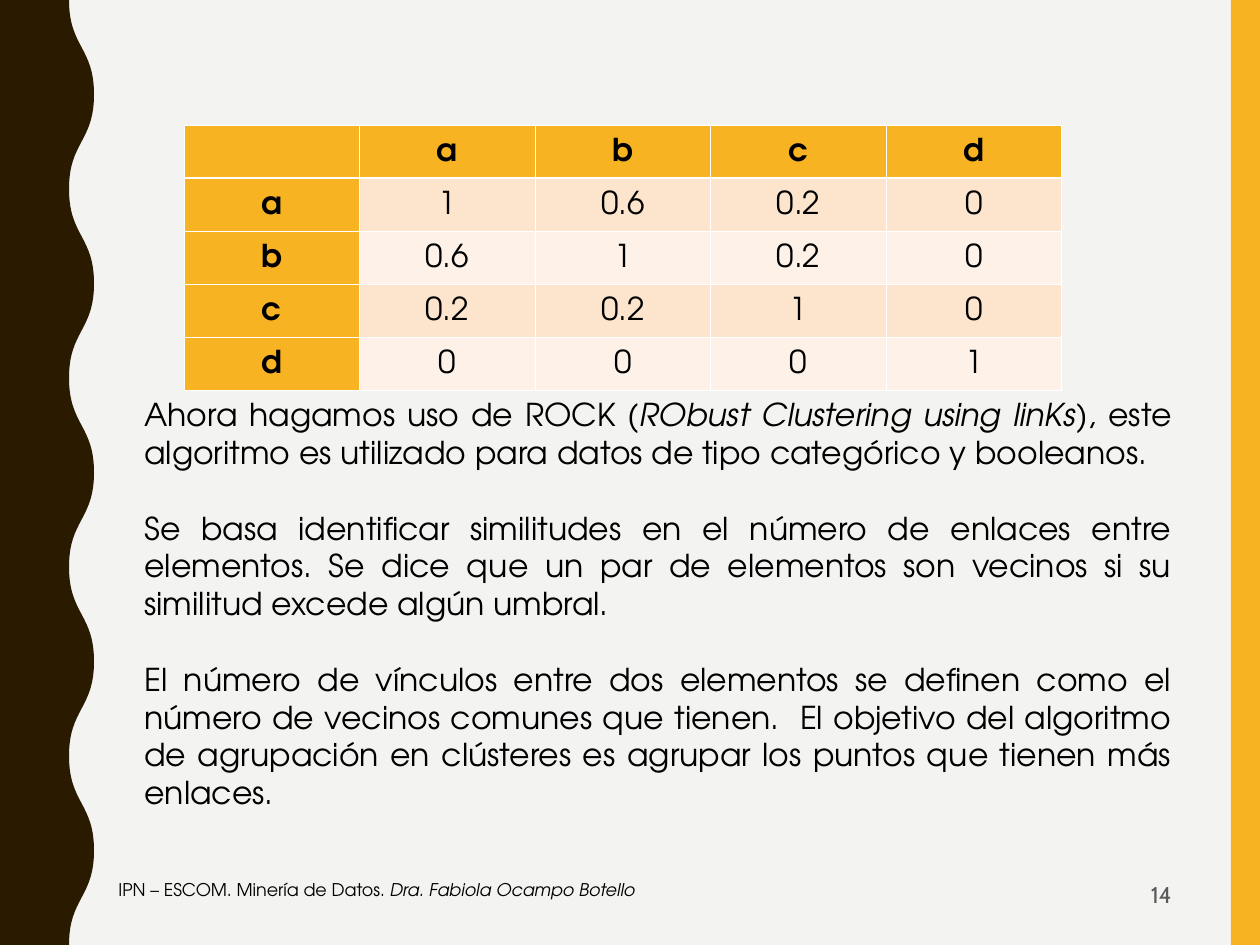
import pptx
import pptx.dml.color
import pptx.enum.shapes
import pptx.enum.text
import pptx.oxml
import pptx.oxml.ns
import pptx.util

ALIGN = pptx.enum.text.PP_ALIGN
ANCHOR = pptx.enum.text.MSO_ANCHOR

# Content: each paragraph is a list of (text, italic) runs
LABELS = ["a", "b", "c", "d"]
SIMILARITY = [
    ["1", "0.6", "0.2", "0"],
    ["0.6", "1", "0.2", "0"],
    ["0.2", "0.2", "1", "0"],
    ["0", "0", "0", "1"],
]
EXPLANATION = [
    [("Ahora hagamos uso de ROCK (", False),
     ("RObust Clustering using linKs", True),
     ("), este algoritmo es utilizado para datos de tipo categórico y booleanos.", False)],
    [("Se basa identificar similitudes en el número de enlaces entre elementos. "
      "Se dice que un par de elementos son vecinos si su similitud excede algún umbral.", False)],
    [("El número de vínculos entre dos elementos se definen como el número de vecinos "
      "comunes que tienen.  El objetivo del algoritmo de agrupación en clústeres es "
      "agrupar los puntos que tienen más enlaces.", False)],
]
FOOTER = [[("IPN – ESCOM. Minería de Datos. ", False), ("Dra. Fabiola Ocampo Botello", True)]]
PAGE_NUMBER = [[("14", False)]]

COLORS = {
    "background": "F3F3F2", "gold": "F8B323", "brown": "2A1A00", "text": "000000",
    "number": "595959", "band_dark": "FCE5CC", "band_light": "FEF2E8", "grid": "FFFFFF",
}
MAIN_FONT, NUMBER_FONT = "TeX Gyre Adventor", "Cabin"
SLIDE_W, SLIDE_H = 1260, 945
NAMESPACE = pptx.oxml.ns.nsdecls("a")


def px(length):
    return round(length * 914400 / 126)


def rgb(name):
    return pptx.dml.color.RGBColor.from_string(COLORS[name])


def write_text(frame, paragraphs, size=18, font=MAIN_FONT, color="text", bold=False,
               align=ALIGN.LEFT, anchor=ANCHOR.TOP, line_spacing=None, gap=0):
    frame.word_wrap = True
    frame.vertical_anchor = anchor
    for index, runs in enumerate(paragraphs):
        paragraph = frame.add_paragraph() if index else frame.paragraphs[0]
        paragraph.alignment = align
        if line_spacing:
            paragraph.line_spacing = line_spacing
        if index and gap:
            paragraph.space_before = pptx.util.Pt(gap)
        for text, italic in runs:
            run = paragraph.add_run()
            run.text = text
            run.font.size = pptx.util.Pt(size)
            run.font.name = font
            run.font.bold = bold
            run.font.italic = italic
            run.font.color.rgb = rgb(color)


def paint(shape, color):
    shape.shadow.inherit = False
    shape.fill.solid()
    shape.fill.fore_color.rgb = rgb(color)
    shape.line.fill.background()


def set_borders(cell, widths):
    """Add the cell's border lines; call before the fill is set."""
    properties = cell._tc.get_or_add_tcPr()
    for side, points in widths.items():
        properties.append(pptx.oxml.parse_xml(
            f'<a:ln{side} {NAMESPACE} w="{pptx.util.Pt(points)}"><a:solidFill>'
            f'<a:srgbClr val="{COLORS["grid"]}"/></a:solidFill></a:ln{side}>'))


def add_wave(shapes, inner=69, outer=94, halves=10):
    """Draw the left band; its right edge swings from inner to outer x."""
    half_height = SLIDE_H / halves
    edge = [(px(outer if n % 2 else inner), px(n * half_height)) for n in range(halves + 1)]
    builder = shapes.build_freeform(*edge[0], scale=1.0)
    builder.add_line_segments([*edge[1:], (0, px(SLIDE_H)), (0, 0)], close=True)
    wave = builder.convert_to_shape()
    segments = wave.element.findall(".//" + pptx.oxml.ns.qn("a:lnTo"))
    for segment, (x0, y0), (x1, y1) in zip(segments, edge, edge[1:]):
        middle = (y0 + y1) // 2
        points = "".join(f'<a:pt x="{x}" y="{y}"/>'
                         for x, y in [(x0, middle), (x1, middle), (x1, y1)])
        curve = pptx.oxml.parse_xml(f"<a:cubicBezTo {NAMESPACE}>{points}</a:cubicBezTo>")
        segment.getparent().replace(segment, curve)
    return wave


deck = pptx.Presentation()
deck.slide_width, deck.slide_height = px(SLIDE_W), px(SLIDE_H)
slide = deck.slides.add_slide(deck.slide_layouts[6])
slide.background.fill.solid()
slide.background.fill.fore_color.rgb = rgb("background")

# Side decorations
gold_strip = slide.shapes.add_shape(pptx.enum.shapes.MSO_SHAPE.RECTANGLE,
                                    px(1231), 0, px(SLIDE_W - 1231), px(SLIDE_H))
paint(gold_strip, "gold")
paint(add_wave(slide.shapes), "brown")

# Similarity table
rows = [["", *LABELS]] + [[label, *values] for label, values in zip(LABELS, SIMILARITY)]
TABLE_W, ROW_H = 878, 53
similarity = slide.shapes.add_table(
    len(rows), len(rows[0]), px(184), px(125), px(TABLE_W), px(ROW_H * len(rows))).table
for column in similarity.columns:
    column.width = px(TABLE_W / len(rows[0]))
for r, values in enumerate(rows):
    similarity.rows[r].height = px(ROW_H)
    for c, value in enumerate(values):
        cell = similarity.cell(r, c)
        heading = r == 0 or c == 0
        set_borders(cell, {"L": 0.45, "R": 0.45, "T": 1.47 if r == 1 else 0.45,
                           "B": 1.47 if r == 0 else 0.45})
        cell.fill.solid()
        cell.fill.fore_color.rgb = rgb(
            "gold" if heading else "band_dark" if r % 2 else "band_light")
        cell.margin_left = cell.margin_right = px(10)
        cell.margin_top = cell.margin_bottom = px(6)
        cell.vertical_anchor = ANCHOR.MIDDLE
        if value:
            write_text(cell.text_frame, [[(value, False)]], bold=heading,
                       align=ALIGN.CENTER, anchor=ANCHOR.MIDDLE, line_spacing=1.07)

# Text boxes: position and size in px, paragraphs, format
TEXTS = [
    ((893, 873, 291, 48), PAGE_NUMBER,
     dict(size=13, font=NUMBER_FONT, color="number", align=ALIGN.RIGHT,
          anchor=ANCHOR.MIDDLE, line_spacing=0.8)),
    ((132, 389, 1052, 428), EXPLANATION, dict(align=ALIGN.JUSTIFY, gap=21.6)),
    ((106, 858, 742, 63), FOOTER, dict(size=10, anchor=ANCHOR.MIDDLE)),
]
for box, paragraphs, text_format in TEXTS:
    textbox = slide.shapes.add_textbox(*map(px, box))
    write_text(textbox.text_frame, paragraphs, **text_format)

deck.save("out.pptx")
